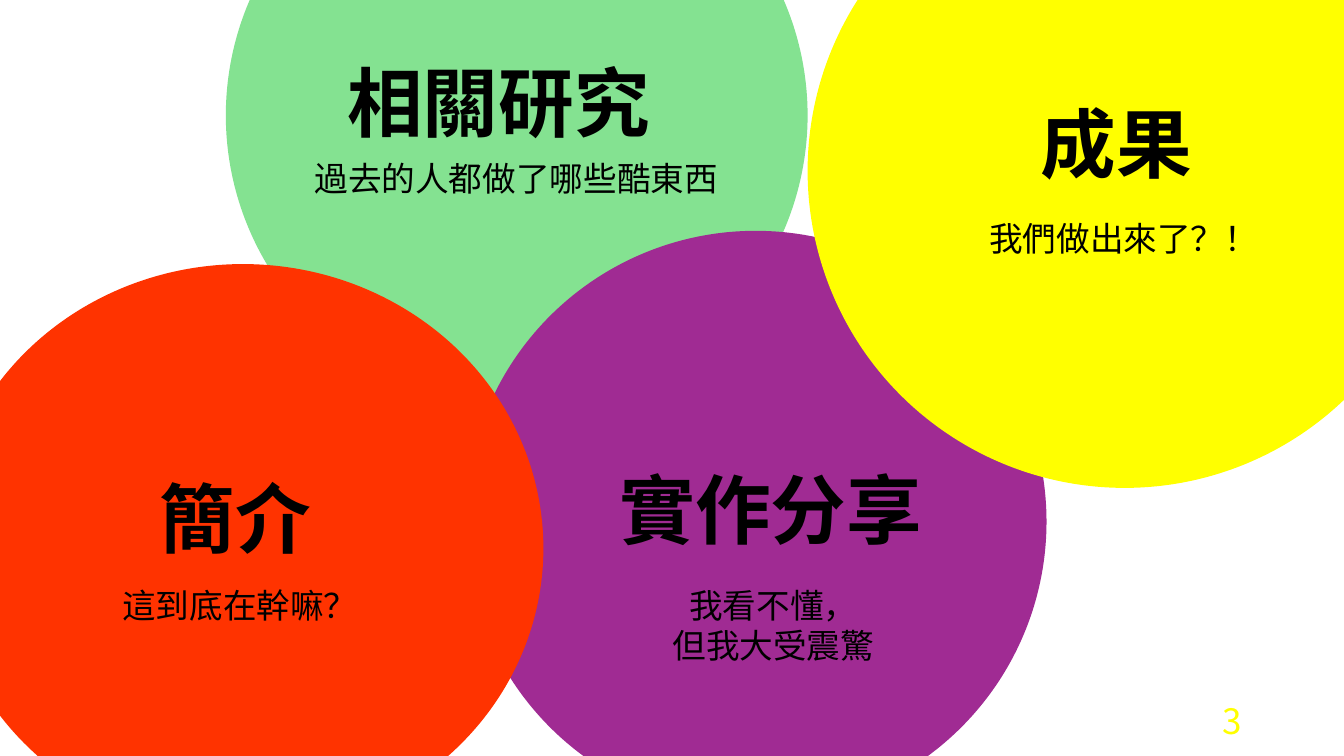
from dataclasses import dataclass

from lxml import etree
from pptx import Presentation
from pptx.dml.color import RGBColor
from pptx.enum.shapes import MSO_SHAPE
from pptx.enum.text import MSO_ANCHOR, MSO_AUTO_SIZE, PP_ALIGN
from pptx.oxml.ns import qn
from pptx.util import Inches, Pt

OVAL = MSO_SHAPE.OVAL
CENTER, RIGHT = PP_ALIGN.CENTER, PP_ALIGN.RIGHT
TOP, MIDDLE = MSO_ANCHOR.TOP, MSO_ANCHOR.MIDDLE
GROW, FIXED = MSO_AUTO_SIZE.SHAPE_TO_FIT_TEXT, MSO_AUTO_SIZE.NONE


@dataclass(frozen=True)
class Theme:
    green: str = "84E291"
    purple: str = "A02B93"
    yellow: str = "FFFF00"
    red: str = "FF3300"
    black: str = "000000"
    white: str = "FFFFFF"
    # Latin font, East Asian font, size, bold
    title: tuple = ("Arial", "Noto Sans CJK SC", 54, True)
    note: tuple = ("Noto Sans CJK SC", "Noto Sans CJK SC", 24, False)
    number: tuple = ("Noto Sans CJK JP", "Noto Sans CJK JP", 25, False)


class Deck:
    def __init__(self, theme):
        self.theme = theme
        self.show = Presentation()
        self.show.slide_width = Inches(13.33)
        self.show.slide_height = Inches(7.5)
        self.slide = self.show.slides.add_slide(self.show.slide_layouts[6])
        fill = self.slide.background.fill
        fill.solid()
        fill.fore_color.rgb = RGBColor.from_string(theme.white)

    def disc(self, place, color):
        shape = self.slide.shapes.add_shape(OVAL, *map(Inches, place))
        shape.shadow.inherit = False
        shape.fill.solid()
        shape.fill.fore_color.rgb = RGBColor.from_string(color)
        shape.line.fill.background()

    def text(self, place, lines, style, color, align=CENTER, **extra):
        """Add one paragraph per line; extra overrides the frame format."""
        frame = self.slide.shapes.add_textbox(*map(Inches, place)).text_frame
        form = {"word_wrap": False, "auto_size": GROW, "vertical_anchor": TOP}
        for name, value in (form | extra).items():
            setattr(frame, name, value)
        latin, asian, size, bold = style
        look = {"name": latin, "size": Pt(size), "bold": bold}
        for i, line in enumerate(lines):
            para = frame.add_paragraph() if i else frame.paragraphs[0]
            para.alignment = align
            run = para.add_run()
            run.text = line
            for name, value in look.items():
                setattr(run.font, name, value)
            run.font.color.rgb = RGBColor.from_string(color)
            props = run._r.get_or_add_rPr()
            etree.SubElement(props, qn("a:ea")).set("typeface", asian)

    def topic(self, disc, color, head, note):
        """Add a disc with a heading and a note, each a place and its lines."""
        self.disc(disc, color)
        self.text(*head, self.theme.title, self.theme.black)
        self.text(*note, self.theme.note, self.theme.black)


def main():
    theme = Theme()
    deck = Deck(theme)
    topics = [
        ((2.24, -1.74, 5.77, 5.77), theme.green,
         ((3.33, 0.51, 3.23, 1.01), ["相關研究"]),
         ((3, 1.52, 4.24, 0.5), ["過去的人都做了哪些酷東西"])),
        ((4.61, 2.29, 5.77, 5.77), theme.purple,
         ((6.03, 4.54, 3.23, 1.01), ["實作分享"]),
         ((6.56, 5.75, 2.22, 0.91), ["我看不懂，", "但我大受震驚"])),
        ((8.01, -1.45, 6.29, 6.29), theme.yellow,
         ((10.21, 0.91, 1.72, 1.01), ["成果"]),
         ((9.7, 2.11, 2.89, 0.5), ["我們做出來了？！"])),
        ((-0.57, 2.62, 5.96, 5.64), theme.red,
         ((-0.04, 4.63, 4.75, 1.01), ["簡介"]),
         ((1.1, 5.75, 2.56, 0.5), ["這到底在幹嘛？"])),
    ]
    for topic in topics:
        deck.topic(*topic)
    deck.text((9.42, 6.95, 3, 0.4), ["3"], theme.number, theme.yellow, RIGHT,
              word_wrap=True, auto_size=FIXED, vertical_anchor=MIDDLE)
    deck.show.save("out.pptx")


if __name__ == "__main__":
    main()
